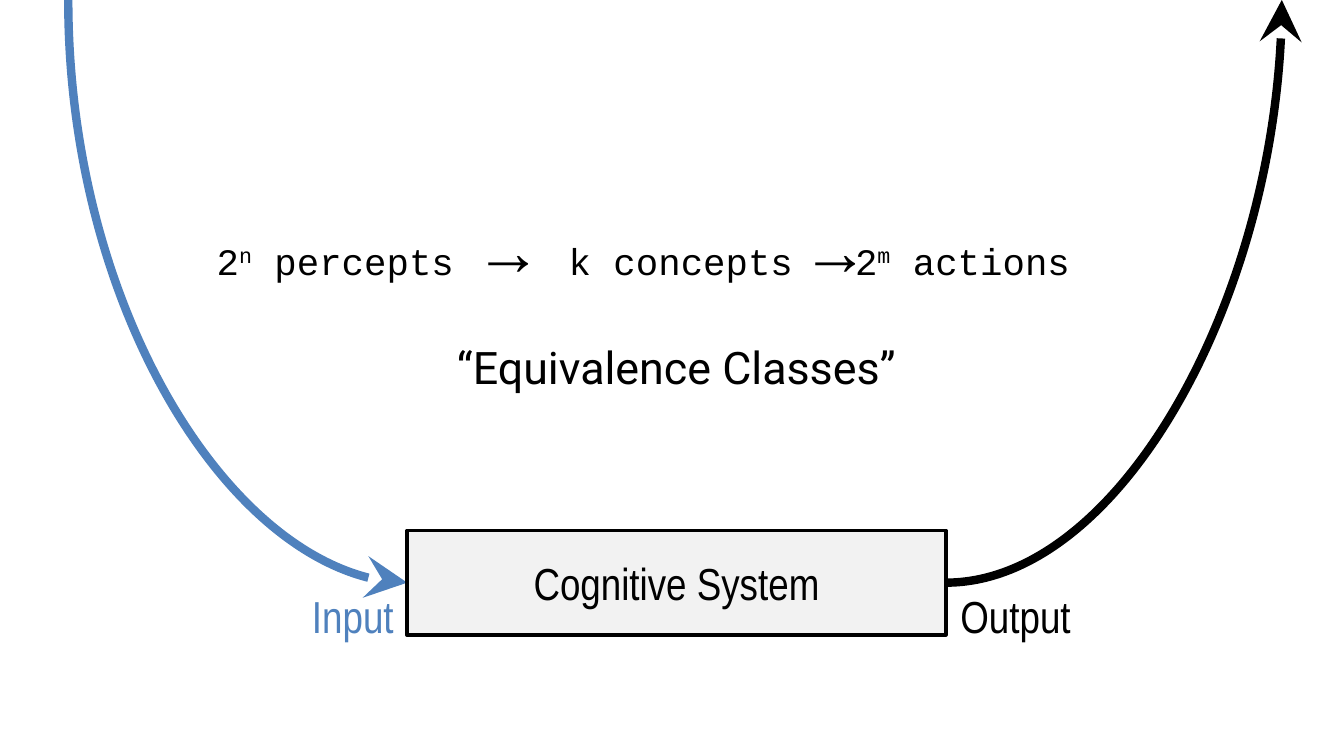
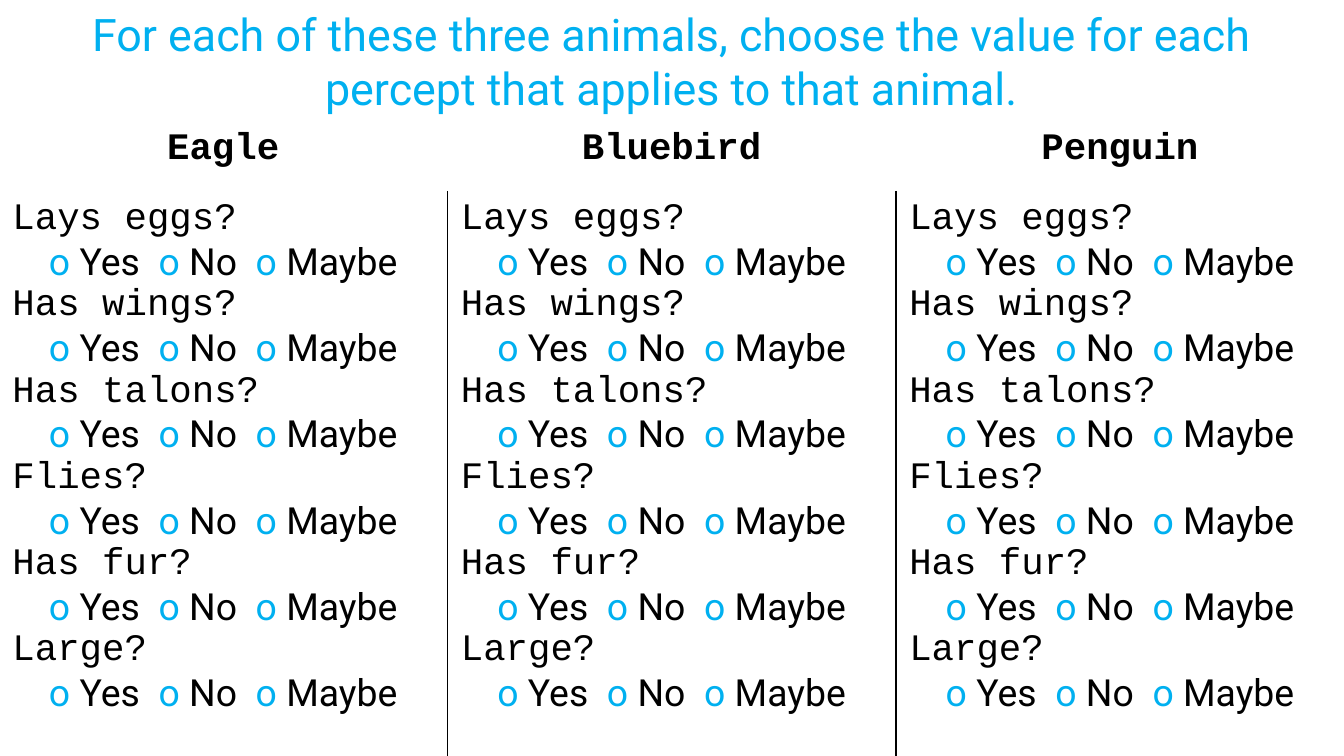
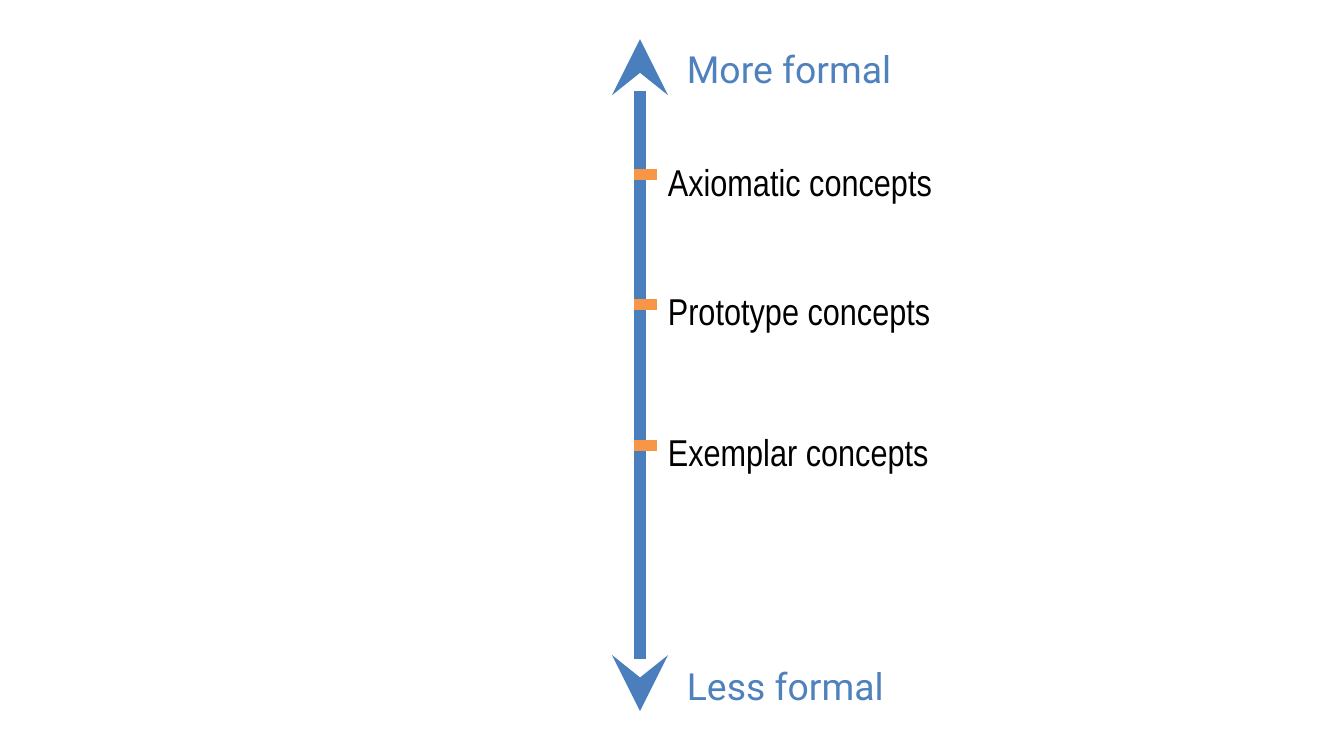
from lxml.etree import SubElement
from pptx import Presentation
from pptx.dml.color import RGBColor
from pptx.enum.shapes import MSO_CONNECTOR, MSO_SHAPE
from pptx.enum.text import MSO_ANCHOR, MSO_AUTO_SIZE, PP_ALIGN
from pptx.oxml import parse_xml
from pptx.oxml.ns import nsdecls, qn
from pptx.util import Pt

# Shared look
BLACK = RGBColor(0x00, 0x00, 0x00)
BLUE = RGBColor(0x4F, 0x81, 0xBD)
AXIS_BLUE = RGBColor(0x4B, 0x7E, 0xBC)
SKY = RGBColor(0x00, 0xB0, 0xF0)
ORANGE = RGBColor(0xF7, 0x96, 0x46)
PALE = RGBColor(0xF2, 0xF2, 0xF2)
NARROW, MONO, SANS = "Arial Narrow", "Courier New", "Roboto"
SLIDE_WIDTH, SLIDE_HEIGHT = 720, 405

NARROW_24 = {"name": NARROW, "size": Pt(24), "color": BLACK}
NARROW_20 = {**NARROW_24, "size": Pt(20)}
SANS_24 = {"name": SANS, "size": Pt(24), "color": BLACK}
SANS_20 = {**SANS_24, "size": Pt(20)}
MONO_20 = {"name": MONO, "size": Pt(20), "color": BLACK}
MONO_36 = {**MONO_20, "size": Pt(36)}
SUPERSCRIPT = {**MONO_20, "baseline": 30000}
HEADING = {**MONO_20, "bold": True}
CIRCLE = {**SANS_20, "color": SKY}

# Slide 1 content: left, width, runs of each part of the mapping
SYSTEM_BOX = (218.16, 284.2, 288.5, 56)
MAPPING = [
    (93.6, 193.7, [("2", MONO_20), ("n", SUPERSCRIPT), (" percepts", MONO_20), (" ", MONO_36)]),
    (236.16, 247.68, [("→ ", MONO_36), ("k concepts ", MONO_20), ("→", MONO_36)]),
    (429.6, 193.7, [("2", MONO_20), ("m", SUPERSCRIPT), (" actions", MONO_20), (" ", MONO_36)]),
]
MAPPING_HEIGHT = 266

# Slide 2 content
PROMPT = ("For each of these three animals, choose the value for each "
          "percept that applies to that animal.")
ANIMALS = ["Eagle", "Bluebird", "Penguin"]
QUESTIONS = ["Lays eggs?", "Has wings?", "Has talons?", "Flies?", "Has fur?", "Large?"]
OPTIONS = [("ο", CIRCLE), (" Yes  ", SANS_20), ("ο", CIRCLE), (" No  ", SANS_20),
           ("ο", CIRCLE), (" Maybe", SANS_20)]
TABLE_TOP, HEADING_HEIGHT, ANSWER_HEIGHT = 65.3, 37.4, 302.4

# Slide 3 content: label, top
AXIS_X, AXIS_TOP, AXIS_BOTTOM = 342.9, 21, 381
AXIS_ENDS = [("More formal", 21), ("Less formal", 351.8)]
CONCEPTS = [("Axiomatic concepts", 81.5), ("Prototype concepts", 151),
            ("Exemplar concepts", 226.6)]
LABEL_HEIGHT, TICK_DROP, TICK_LENGTH = 31.5, 12.1, 12.24


def add_run(paragraph, text, style):
    run = paragraph.add_run()
    run.text = text
    for key, value in style.items():
        if key == "color":
            run.font.color.rgb = value
        elif key == "baseline":
            run.font._element.set("baseline", str(value))
        else:
            setattr(run.font, key, value)


def write(paragraph, runs, align=PP_ALIGN.LEFT):
    paragraph.alignment = align
    for text, style in runs:
        add_run(paragraph, text, style)


def add_text(slide, box, runs, align=PP_ALIGN.LEFT, **frame_format):
    shape = slide.shapes.add_textbox(*map(Pt, box))
    settings = {"word_wrap": True, "auto_size": MSO_AUTO_SIZE.SHAPE_TO_FIT_TEXT, **frame_format}
    for key, value in settings.items():
        setattr(shape.text_frame, key, value)
    write(shape.text_frame.paragraphs[0], runs, align)


def add_line(slide, start, end, color, width, arrows=(), kind=MSO_CONNECTOR.STRAIGHT):
    connector = slide.shapes.add_connector(kind, *map(Pt, (*start, *end)))
    connector.line.color.rgb = color
    connector.line.width = Pt(width)
    properties = connector._element.spPr
    if kind == MSO_CONNECTOR.CURVE:
        properties.find(qn("a:prstGeom")).set("prst", "curvedConnector2")
    for arrow in arrows:
        SubElement(properties.find(qn("a:ln")), qn(f"a:{arrow}"),
                   type="stealth", w="lg", len="lg")
    SubElement(properties, qn("a:effectLst"))


def add_cell_border(cell, sides):
    properties = cell._tc.get_or_add_tcPr()
    for position, side in enumerate(sides):
        properties.insert(position, parse_xml(
            f'<a:{side} {nsdecls("a")} w="{Pt(1)}"><a:solidFill>'
            f'<a:srgbClr val="{BLACK}"/></a:solidFill></a:{side}>'))


def build_cognitive_system(slide):
    left, top, width, height = SYSTEM_BOX
    right, middle = left + width, top + height / 2

    # Input and output curves
    for start_x, end_x, color, arrow in [(left, 36.6, BLUE, "headEnd"),
                                         (right, 686.7, BLACK, "tailEnd")]:
        add_line(slide, (start_x, middle), (end_x, 0), color, 4.5, [arrow], MSO_CONNECTOR.CURVE)
    label_top = middle - 0.4
    add_text(slide, (159, label_top, 59, 36), [("Input", {**NARROW_24, "color": BLUE})],
             PP_ALIGN.RIGHT, word_wrap=False)
    add_text(slide, (507.4, label_top, 74.2, 36), [("Output", NARROW_24)], word_wrap=False)

    # System box
    box = slide.shapes.add_shape(MSO_SHAPE.RECTANGLE, *map(Pt, SYSTEM_BOX))
    box.shadow.inherit = False
    box.fill.solid()
    box.fill.fore_color.rgb = PALE
    box.line.color.rgb = BLACK
    box.line.width = Pt(2)
    box.text_frame.vertical_anchor = MSO_ANCHOR.MIDDLE
    write(box.text_frame.paragraphs[0], [("Cognitive System", NARROW_24)], PP_ALIGN.CENTER)

    # Percepts to concepts to actions
    for part_left, part_width, runs in MAPPING:
        add_text(slide, (part_left, 0, part_width, MAPPING_HEIGHT), runs, PP_ALIGN.CENTER,
                 vertical_anchor=MSO_ANCHOR.MIDDLE, auto_size=MSO_AUTO_SIZE.NONE)
    add_text(slide, (left, 178.6, width, 36), [("“Equivalence Classes”", SANS_24)],
             PP_ALIGN.CENTER)


def build_animal_percepts(slide):
    table = slide.shapes.add_table(
        2, len(ANIMALS), Pt(-0.5), Pt(TABLE_TOP), Pt(SLIDE_WIDTH + 0.7),
        Pt(HEADING_HEIGHT + ANSWER_HEIGHT)).table
    table.horz_banding = False
    for row, height in zip(table.rows, (HEADING_HEIGHT, ANSWER_HEIGHT)):
        row.height = Pt(height)

    for column, animal in enumerate(ANIMALS):
        heading, body = table.cell(0, column), table.cell(1, column)
        for cell in (heading, body):
            cell.fill.background()
        write(heading.text_frame.paragraphs[0], [(animal, HEADING)], PP_ALIGN.CENTER)

        # Each question with its options below
        frame = body.text_frame
        for number, question in enumerate(QUESTIONS):
            paragraph = frame.add_paragraph() if number else frame.paragraphs[0]
            write(paragraph, [(question, MONO_20)])
            write(frame.add_paragraph(), OPTIONS, PP_ALIGN.CENTER)

        # Rules between columns
        sides = ["lnL"] if column > 0 else []
        if column < len(ANIMALS) - 1:
            sides.append("lnR")
        add_cell_border(body, sides)

    add_text(slide, (-0.7, 0, SLIDE_WIDTH + 0.7, TABLE_TOP),
             [(PROMPT, {**SANS_24, "color": SKY})], PP_ALIGN.CENTER)


def build_formality_axis(slide):
    add_line(slide, (AXIS_X, AXIS_TOP), (AXIS_X, AXIS_BOTTOM), AXIS_BLUE, 6,
             ["headEnd", "tailEnd"])
    for label, top in AXIS_ENDS:
        add_text(slide, (AXIS_X + 18, top, 141, LABEL_HEIGHT),
                 [(label, {**SANS_20, "color": BLUE})], word_wrap=False)

    # Concepts with their ticks
    tick_left = AXIS_X - 3
    for label, top in CONCEPTS:
        add_text(slide, (AXIS_X + 7.8, top, 157, LABEL_HEIGHT), [(label, NARROW_20)],
                 word_wrap=False)
        tick_y = top + TICK_DROP
        add_line(slide, (tick_left, tick_y), (tick_left + TICK_LENGTH, tick_y), ORANGE, 6)


def main():
    presentation = Presentation()
    presentation.slide_width, presentation.slide_height = Pt(SLIDE_WIDTH), Pt(SLIDE_HEIGHT)
    for build in (build_cognitive_system, build_animal_percepts, build_formality_axis):
        build(presentation.slides.add_slide(presentation.slide_layouts[6]))
    presentation.save("out.pptx")


if __name__ == "__main__":
    main()
